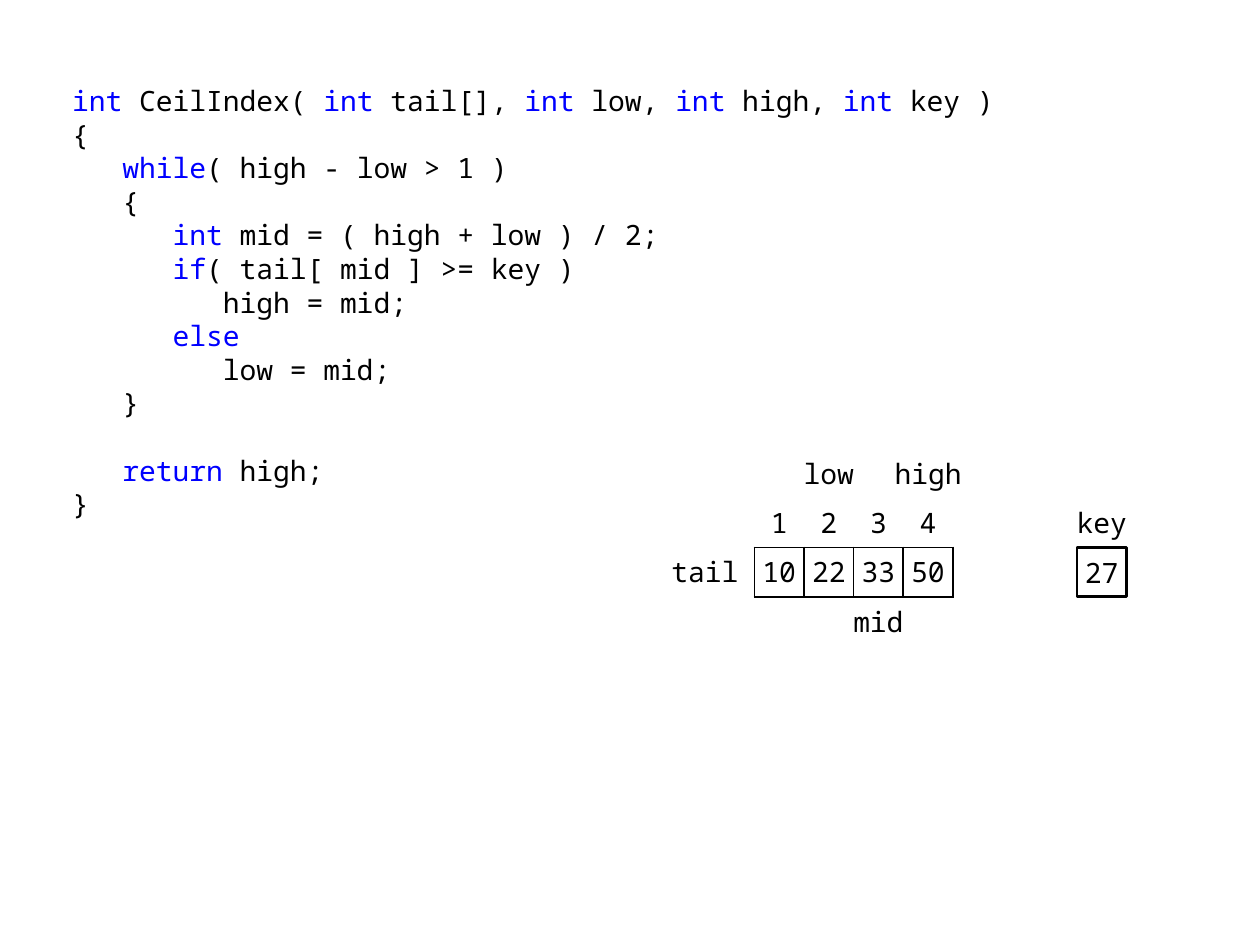
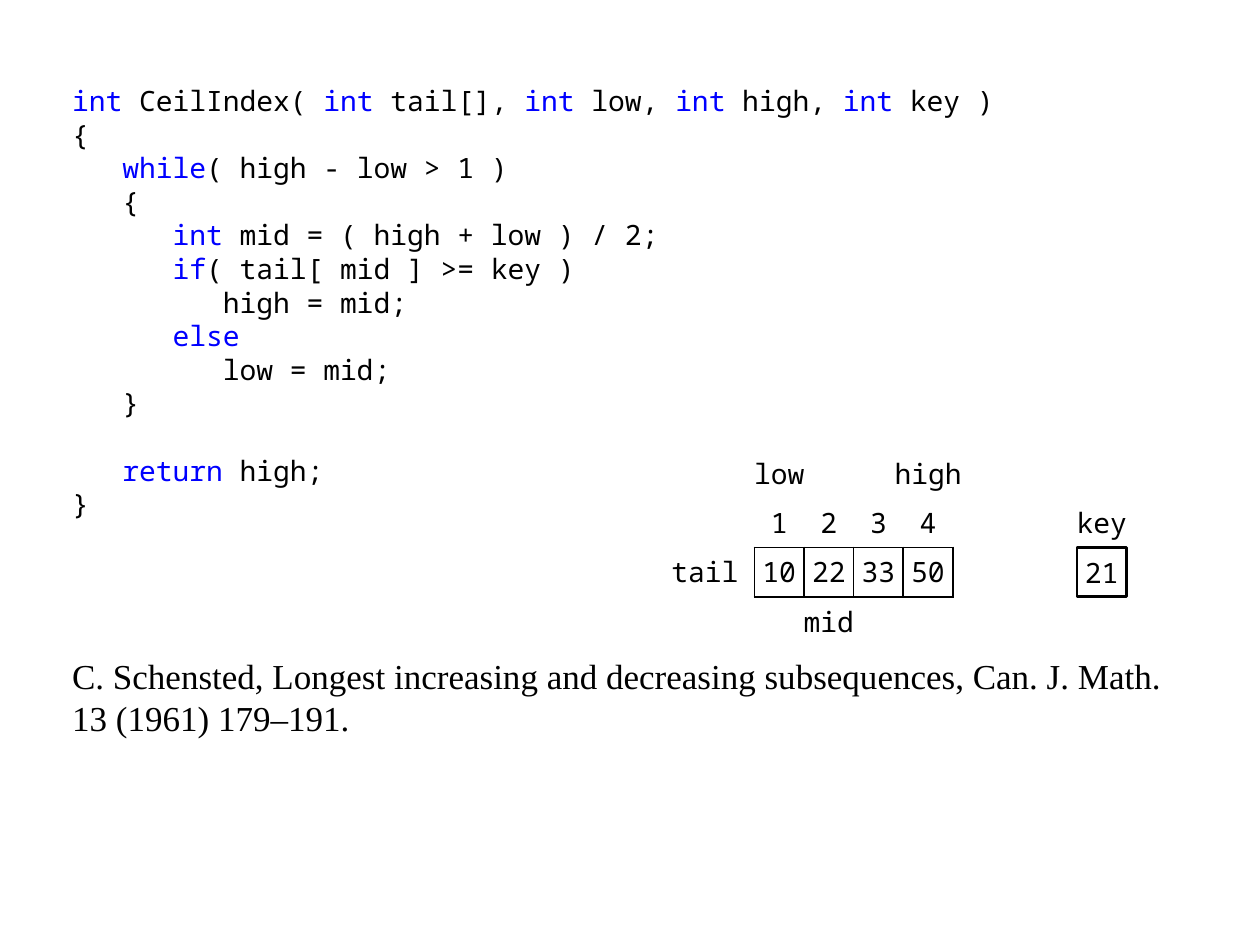
from itertools import groupby

from lxml.etree import SubElement
from pptx import Presentation
from pptx.dml.color import RGBColor
from pptx.enum.shapes import MSO_SHAPE as Preset
from pptx.enum.text import MSO_ANCHOR as Anchor, MSO_AUTO_SIZE as AutoSize, PP_ALIGN as Align
from pptx.oxml.ns import qn
from pptx.util import Pt

# Shared look
MONO, SERIF = "Noto Sans Mono", "Times New Roman"
BLACK, BLUE, WHITE = "000000", "0000FF", "FFFFFF"
CODE_LINE, CITATION_LINE = 19.2, 24
CELL = 28.35
ARRAY_LEFT, ARRAY_TOP = 374.4, 284.4
KEY_LEFT = 601.2

# Shared content
KEYWORDS = {"int", "while", "if", "else", "return"}
CODE = """int CeilIndex( int tail[], int low, int high, int key )
{
   while( high - low > 1 )
   {
      int mid = ( high + low ) / 2;
      if( tail[ mid ] >= key )
         high = mid;
      else
         low = mid;
   }

   return high;
}"""
TAIL = [10, 22, 33, 50]
CITATION = ("C. Schensted, Longest increasing and decreasing subsequences, "
            "Can. J. Math. 13 (1961) 179–191.")

# Each search step: positions of the markers and the key sought
STEPS = [
    {"low": 2, "mid": 3, "high": 4, "key": 27},
    {"low": 1, "mid": 2, "high": 4, "key": 21, "citation": CITATION},
]


def color(hex_code):
    return RGBColor.from_string(hex_code)


def apply(target, formats):
    for name, value in formats.items():
        setattr(target, name, value)


def add_run(paragraph, text, ink=BLACK, face=MONO, size=16):
    run = paragraph.add_run()
    run.text = text
    apply(run.font, {"name": face, "size": Pt(size)})
    run.font.color.rgb = color(ink)


def add_plain_paragraph(frame, line_height, gap):
    """Start an unbulleted paragraph, reusing the frame's first one."""
    first = frame.paragraphs[0]
    paragraph = frame.add_paragraph() if first.runs else first
    properties = paragraph._p.get_or_add_pPr()
    properties.set("marL", "0")
    properties.set("indent", "0")
    SubElement(properties, qn("a:buNone"))
    apply(paragraph, {"line_spacing": Pt(line_height), "space_before": Pt(gap),
                      "space_after": Pt(0), "alignment": Align.LEFT})
    return paragraph


def add_code(frame):
    gap = 0
    for line in CODE.splitlines():
        if not line:
            gap = CODE_LINE
            continue
        paragraph = add_plain_paragraph(frame, CODE_LINE, gap)
        gap = 0
        words = ["".join(letters) for _, letters in groupby(line, str.isalpha)]
        for is_keyword, group in groupby(words, lambda word: word in KEYWORDS):
            add_run(paragraph, "".join(group), BLUE if is_keyword else BLACK)


def fill_body(slide, citation):
    body = slide.placeholders[1]
    apply(body, {"left": Pt(34), "top": Pt(43.2), "width": Pt(652), "height": Pt(468)})
    frame = body.text_frame
    apply(frame, {"auto_size": AutoSize.NONE, "word_wrap": True,
                  "vertical_anchor": Anchor.TOP, "margin_top": Pt(4.6)})
    add_code(frame)
    if citation:
        paragraph = add_plain_paragraph(frame, CITATION_LINE, 4 * CODE_LINE)
        add_run(paragraph, citation, face=SERIF, size=20)


def add_label(slide, text, left, top, width=2 * CELL, outlined=False):
    label = slide.shapes.add_shape(Preset.RECTANGLE, Pt(left), Pt(top), Pt(width), Pt(CELL))
    label.shadow.inherit = False
    label.fill.solid()
    label.fill.fore_color.rgb = color(WHITE)
    if outlined:
        label.line.color.rgb = color(BLACK)
        label.line.width = Pt(1.5)
    else:
        label.line.fill.background()
    frame = label.text_frame
    apply(frame, {"margin_left": 0, "margin_right": 0, "word_wrap": False,
                  "vertical_anchor": Anchor.MIDDLE})
    frame.paragraphs[0].alignment = Align.CENTER
    add_run(frame.paragraphs[0], text)


def add_marker(slide, text, index, top):
    """Centre a marker on the array cell with this index."""
    add_label(slide, text, ARRAY_LEFT + CELL * (index + 0.5), top)


def set_borders(cell, sides):
    properties = cell._tc.get_or_add_tcPr()
    for side in "LRTB":
        border = SubElement(properties, qn(f"a:ln{side}"), w=str(Pt(1)))
        if side in sides:
            fill = SubElement(border, qn("a:solidFill"))
            SubElement(fill, qn("a:srgbClr"), val=BLACK)
        else:
            SubElement(border, qn("a:noFill"))


def add_array(slide):
    rows = [["", *range(1, len(TAIL) + 1)], ["tail", *TAIL]]
    array = slide.shapes.add_table(2, len(rows[0]), Pt(ARRAY_LEFT), Pt(ARRAY_TOP),
                                   Pt(CELL * (len(TAIL) + 2)), Pt(2 * CELL)).table
    apply(array, {"first_row": False, "horz_banding": False})
    for i, column in enumerate(array.columns):
        column.width = Pt(CELL if i else 2 * CELL)
    # Borders by row: name column, then array columns
    borders = [("", "B"), ("R", "LRTB")]
    for r, values in enumerate(rows):
        array.rows[r].height = Pt(CELL)
        for c, value in enumerate(values):
            cell = array.cell(r, c)
            apply(cell, {"margin_left": 0, "margin_right": 0, "margin_top": 0,
                         "margin_bottom": 0, "vertical_anchor": Anchor.MIDDLE})
            set_borders(cell, borders[r][c > 0])
            cell.fill.background()
            paragraph = cell.text_frame.paragraphs[0]
            paragraph.alignment = Align.CENTER
            if value:
                add_run(paragraph, str(value))


def add_step(deck, step):
    slide = deck.slides.add_slide(deck.slide_layouts[1])
    title = slide.shapes.title.element
    title.getparent().remove(title)
    fill_body(slide, step.get("citation"))

    # Array with its markers
    add_marker(slide, "mid", step["mid"], ARRAY_TOP + 2 * CELL)
    add_array(slide)
    for name in ("low", "high"):
        add_marker(slide, name, step[name], ARRAY_TOP - CELL)

    # Key sought
    add_label(slide, "key", KEY_LEFT, ARRAY_TOP)
    add_label(slide, str(step["key"]), KEY_LEFT + CELL / 2, ARRAY_TOP + CELL, CELL, outlined=True)


def main():
    deck = Presentation()
    apply(deck, {"slide_width": Pt(720), "slide_height": Pt(540)})
    for step in STEPS:
        add_step(deck, step)
    deck.save("out.pptx")


if __name__ == "__main__":
    main()
